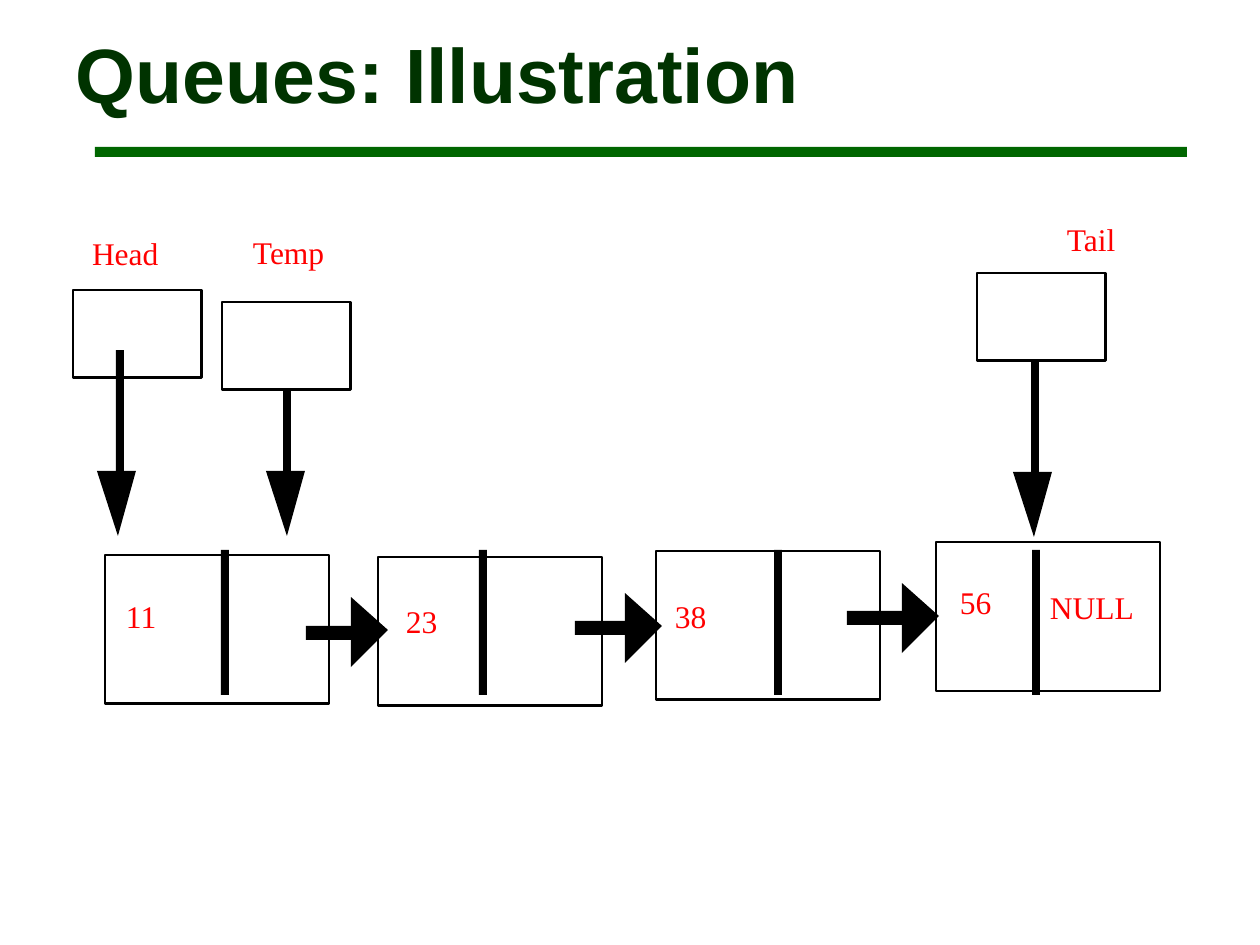
import pptx
import pptx.util
import pptx.dml.color
import pptx.enum.shapes
import pptx.enum.text
from dataclasses import dataclass

PX_PER_INCH = 126


@dataclass(frozen=True)
class Theme:
    title: str = "003300"
    rule: str = "006600"
    label: str = "FF0000"
    ink: str = "000000"
    paper: str = "FFFFFF"
    title_font: str = "Arial"
    label_font: str = "Times New Roman"
    title_size: int = 44
    label_size: int = 18
    outline: float = 1.62


THEME = Theme()
POINTER_SIZE = (129, 88)
NODE_SIZE = (224, 149)

# Pointer boxes: left, top
HEAD_BOX = (73, 290)
TEMP_BOX = (222, 302)
TAIL_BOX = (977, 273)

# Nodes: left, top, divider left, value, value left, value top
NODES = [
    (105, 555, 221, "11", 126, 597),
    (378, 557, 479, "23", 406, 602),
    (656, 551, 774, "38", 675, 597),
    (936, 542, 1032, "56", 960, 583),
]
# Other labels: text, left, top, width
LABELS = [
    ("NULL", 1050, 588, 102),
    ("Head", 92, 234, 97),
    ("Temp", 253, 233, 97),
    ("Tail", 1067, 220, 67),
]
# Links between nodes: shaft left, shaft top, head left, head top
LINKS = [(306, 626, 351, 597), (575, 621, 625, 593), (847, 611, 902, 583)]
# Pointer arrows: shaft left, head left, head top
POINTERS = [(116, 97, 471), (283, 266, 471), (1031, 1013, 472)]


def px(n):
    return pptx.util.Emu(round(n * 914400 / PX_PER_INCH))


def rgb(value):
    return pptx.dml.color.RGBColor.from_string(value)


def paint(sp, fill, line=None):
    sp.shadow.inherit = False
    sp.fill.solid()
    sp.fill.fore_color.rgb = rgb(fill)
    if line:
        sp.line.color.rgb = rgb(line)
        sp.line.width = pptx.util.Pt(THEME.outline)
    else:
        sp.line.fill.background()


def add_rect(slide, left, top, width, height, fill, line=None):
    sp = slide.shapes.add_shape(pptx.enum.shapes.MSO_SHAPE.RECTANGLE,
                                px(left), px(top), px(width), px(height))
    paint(sp, fill, line)


def add_box(slide, corner, size):
    add_rect(slide, *corner, *size, THEME.paper, THEME.ink)


def add_triangle(slide, *points):
    start, *others = [(px(x), px(y)) for x, y in points]
    builder = slide.shapes.build_freeform(*start)
    builder.add_line_segments(others, close=True)
    paint(builder.convert_to_shape(), THEME.ink)


def add_link(slide, shaft_left, shaft_top, left, top):
    add_rect(slide, shaft_left, shaft_top, left + 5 - shaft_left, 14, THEME.ink)
    add_triangle(slide, (left, top + 70), (left + 37, top + 33), (left, top))


def add_pointer(slide, shaft_left, left, top):
    add_rect(slide, shaft_left, 350, 8, 131, THEME.ink)
    add_triangle(slide, (left, top), (left + 21, top + 65), (left + 39, top))


def add_text(slide, text, left, top, width, height, font, size, color):
    tf = slide.shapes.add_textbox(px(left), px(top), px(width), px(height)).text_frame
    tf.word_wrap = True
    tf.margin_left = tf.margin_top = tf.margin_right = tf.margin_bottom = 0
    p = tf.paragraphs[0]
    p.text = text
    p.font.name = font
    p.font.size = pptx.util.Pt(size)
    p.font.color.rgb = rgb(color)
    return tf


def add_label(slide, text, left, top, width):
    add_text(slide, text, left, top, width, 66,
             THEME.label_font, THEME.label_size, THEME.label)


def add_title(slide, text):
    tf = add_text(slide, text, 63, 38, 1134, 158,
                  THEME.title_font, THEME.title_size, THEME.title)
    tf.margin_left = tf.margin_right = px(13)
    tf.margin_bottom = px(88)  # keeps the title above the rule
    tf.vertical_anchor = pptx.enum.text.MSO_ANCHOR.MIDDLE
    tf.paragraphs[0].font.bold = True


def main():
    prs = pptx.Presentation()
    prs.slide_width, prs.slide_height = px(1260), px(945)
    slide = prs.slides.add_slide(prs.slide_layouts[6])

    # Rule under the title
    add_rect(slide, 95, 147, 1092, 10, THEME.rule)

    # Queue nodes with dividers and values
    add_box(slide, HEAD_BOX, POINTER_SIZE)
    for left, top, divider, value, value_left, value_top in NODES:
        add_box(slide, (left, top), NODE_SIZE)
        add_rect(slide, divider, 550, 8, 145, THEME.ink)
        add_label(slide, value, value_left, value_top, 60)
    for label in LABELS:
        add_label(slide, *label)

    # Arrows
    for link in LINKS:
        add_link(slide, *link)
    for pointer in POINTERS:
        add_pointer(slide, *pointer)

    # These boxes cover the tops of their arrows
    add_box(slide, TEMP_BOX, POINTER_SIZE)
    add_box(slide, TAIL_BOX, POINTER_SIZE)

    add_title(slide, "Queues: Illustration")
    prs.save("out.pptx")


if __name__ == "__main__":
    main()
